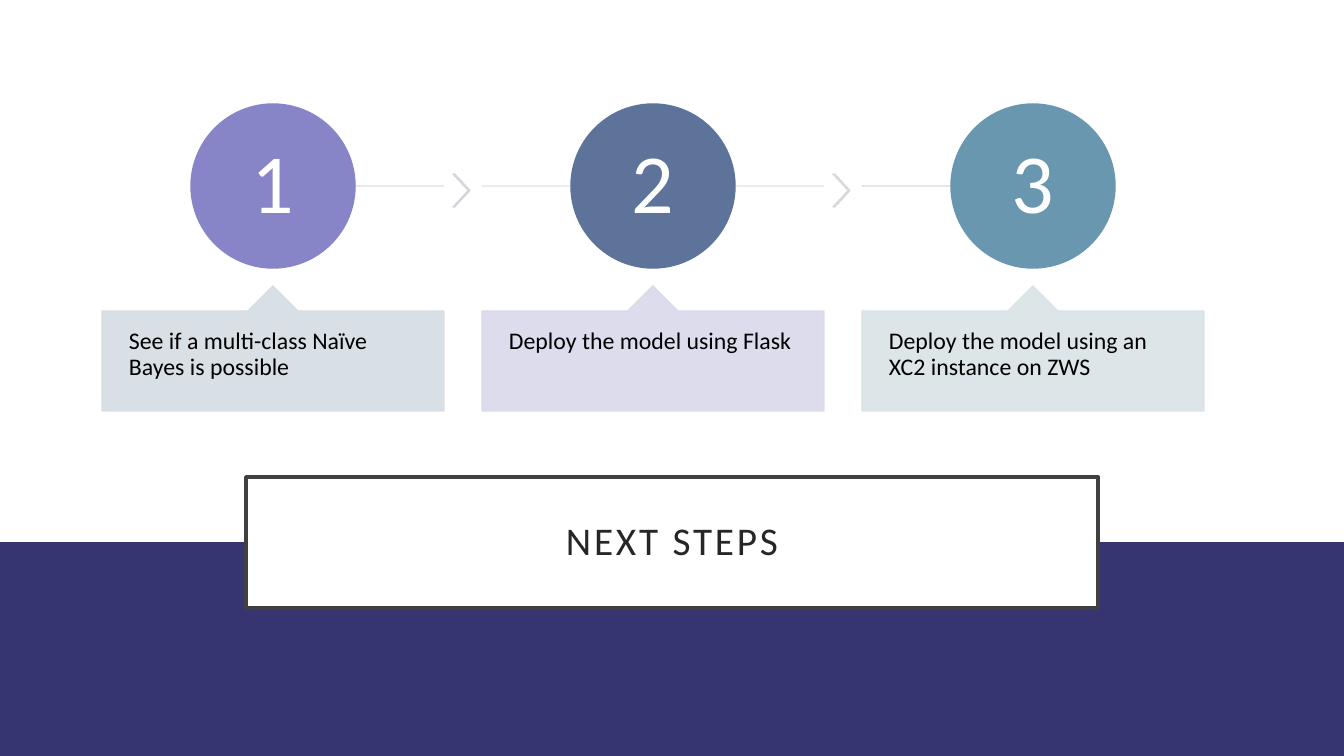
from pptx import Presentation
from pptx.dml.color import RGBColor as RGB
from pptx.enum.shapes import MSO_CONNECTOR as CONN, MSO_SHAPE as SHAPE
from pptx.enum.text import MSO_ANCHOR as ANCHOR, PP_ALIGN as ALIGN
from pptx.oxml.ns import qn
from pptx.util import Pt
from lxml.etree import SubElement

PX = 12192000 / 1344
WIDTH, HEIGHT, BAND_TOP = 1344, 756, 542
WHITE, BLACK = RGB(0xFF, 0xFF, 0xFF), RGB(0, 0, 0)
INDIGO, FRAME, TITLE_INK = RGB(0x37, 0x34, 0x72), RGB(0x40, 0x40, 0x40), RGB(0x26, 0x26, 0x26)
VIOLET, SLATE, TEAL = RGB(0x87, 0x84, 0xC7), RGB(0x5D, 0x73, 0x9A), RGB(0x69, 0x97, 0xAF)
MIST, LILAC, SAGE = RGB(0xD4, 0xDD, 0xE3), RGB(0xD9, 0xD9, 0xEB), RGB(0xD9, 0xE3, 0xE5)
PALE_BLUE, GREY = RGB(0xD2, 0xD5, 0xDE), RGB(0xD5, 0xD8, 0xD9)

STEPS = [
    ("See if a multi-class Naïve Bayes is possible", VIOLET, MIST, LILAC, PALE_BLUE),
    ("Deploy the model using Flask", SLATE, LILAC, SAGE, GREY),
    ("Deploy the model using an XC2 instance on ZWS", TEAL, SAGE, PALE_BLUE, None),
]


def px(n):
    """Turn pixels into EMU."""
    return round(n * PX)


def fade(sp):
    """Make every solid colour of a shape 90 percent opaque."""
    for clr in sp._element.spPr.iter(qn("a:srgbClr")):
        SubElement(clr, qn("a:alpha"), val="90000")


def add_box(slide, kind, box, fill, line=None, weight=1, adj=()):
    """Add a filled preset shape without shadow."""
    sp = slide.shapes.add_shape(kind, *map(px, box))
    sp.shadow.inherit = False
    sp.fill.solid()
    sp.fill.fore_color.rgb = fill
    if line is None:
        sp.line.fill.background()
    else:
        sp.line.color.rgb = line
        sp.line.width = Pt(weight)
    for i, value in enumerate(adj):
        sp.adjustments[i] = value
    return sp


def add_line(slide, x1, x2, y, color):
    """Add a thin level line."""
    sp = slide.shapes.add_connector(CONN.STRAIGHT, px(x1), px(y), px(x2), px(y))
    sp.line.color.rgb = color
    sp.line.width = Pt(1)
    SubElement(sp._element.spPr, qn("a:effectLst"))
    fade(sp)


def write(sp, text, size, color, align, anchor, inset_x, inset_y):
    """Write one paragraph into a shape."""
    tf = sp.text_frame
    frame = {"word_wrap": True, "vertical_anchor": anchor,
             "margin_left": px(inset_x), "margin_right": px(inset_x),
             "margin_top": px(inset_y), "margin_bottom": px(inset_y)}
    p = tf.paragraphs[0]
    r = p.add_run()
    r.text = text
    font = {"name": "Calibri", "size": Pt(size)}
    for obj, fmt in ((tf, frame), (p, {"alignment": align, "line_spacing": 0.9}), (r.font, font)):
        for name, value in fmt.items():
            setattr(obj, name, value)
    r.font.color.rgb = color
    return r


def add_step(slide, box, number, step, first, last):
    """Draw one numbered step with its link lines and callout."""
    text, circle, callout, link, arrow = step
    x, y, w, h = box
    d, mid, right = 164, x + w / 2, x + w
    axis = y + d / 2
    add_line(slide, mid if first else x, mid if last else right, axis, link)
    if not last:
        fade(add_box(slide, SHAPE.CHEVRON, (right + 9, axis - 12, 17, 33), arrow, arrow, adj=[0.9]))
    sp = add_box(slide, SHAPE.OVAL, (mid - d / 2, y, d, d), circle, circle)
    write(sp, str(number), 60, WHITE, ALIGN.CENTER, ANCHOR.MIDDLE, 6, 6)
    sp = add_box(slide, SHAPE.UP_ARROW_CALLOUT, (x, y + h - 125, w, 125), callout, callout,
                 adj=[0.5, 0.2, 0.2, 1])
    fade(sp)
    write(sp, text, 17, BLACK, ALIGN.LEFT, ANCHOR.TOP, 27, 18)


def add_steps(slide, box):
    """Place the steps in equal columns."""
    x, y, w, h = box
    gap, n = 38, len(STEPS)
    col = (w - gap * (n - 1)) / n
    for i, step in enumerate(STEPS):
        add_step(slide, (x + i * (col + gap), y, col, h), i + 1, step, i == 0, i == n - 1)


def add_title(slide, box):
    """Draw the framed title."""
    sp = add_box(slide, SHAPE.RECTANGLE, box, WHITE, FRAME, 2.5)
    r = write(sp, "NEXT STEPS", 28, TITLE_INK, ALIGN.CENTER, ANCHOR.MIDDLE, 20, 20)
    r.font._element.set("spc", "200")


def main():
    """Build and save the slide."""
    prs = Presentation()
    prs.slide_width, prs.slide_height = px(WIDTH), px(HEIGHT)
    slide = prs.slides.add_slide(prs.slide_layouts[6])
    add_box(slide, SHAPE.RECTANGLE, (0, BAND_TOP, WIDTH, HEIGHT - BAND_TOP), INDIGO)
    add_box(slide, SHAPE.RECTANGLE, (0, 0, WIDTH, BAND_TOP), WHITE)
    add_title(slide, (246, 477, 852, 131))
    add_steps(slide, (102, 104, 1102, 307))
    prs.save("out.pptx")


main()
